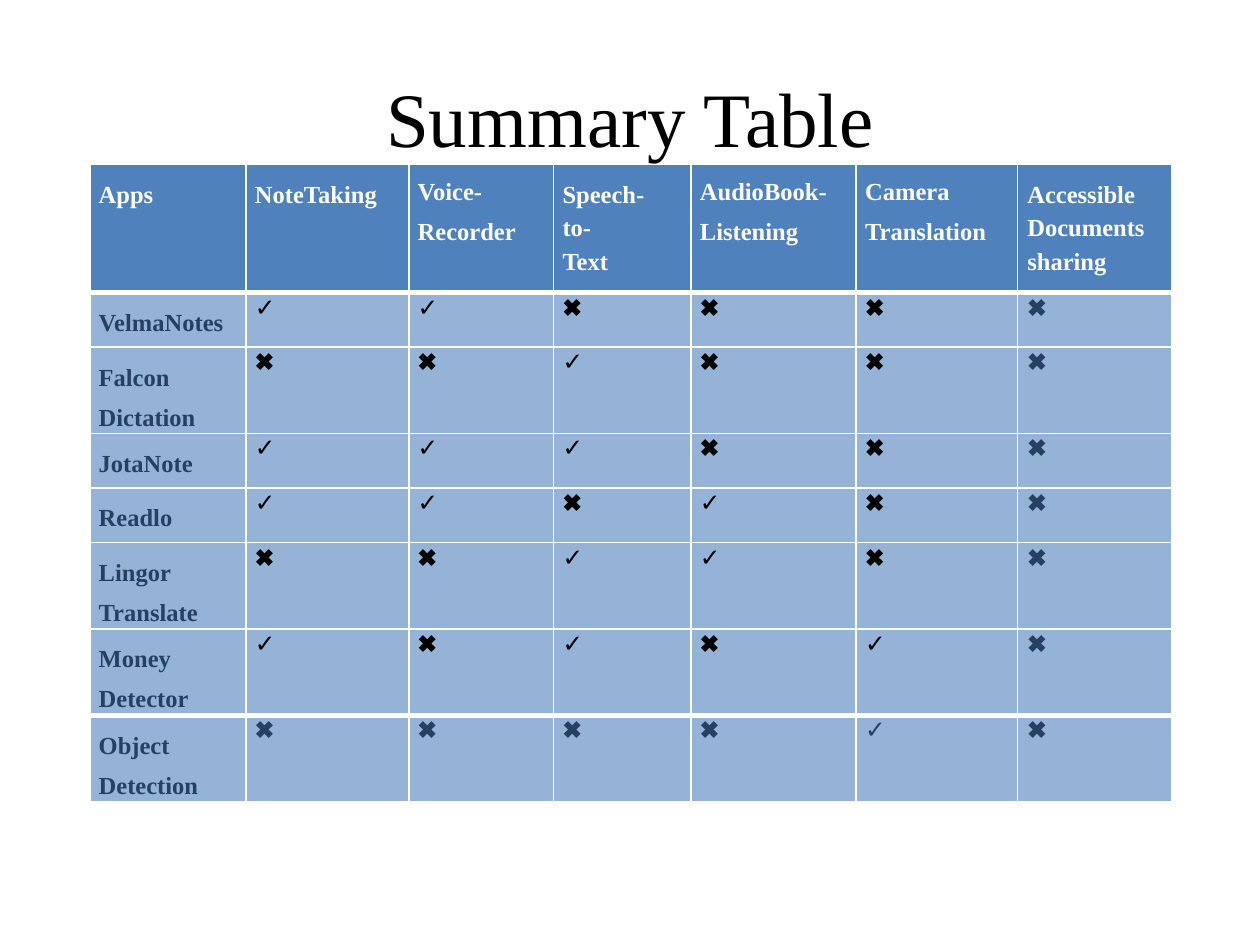
import pptx
import pptx.dml.color
import pptx.enum.text
import pptx.oxml.ns
import pptx.util
from lxml import etree
from pptx.util import Cm

WHITE = pptx.dml.color.RGBColor(0xFF, 0xFF, 0xFF)
BLACK = pptx.dml.color.RGBColor(0, 0, 0)
NAVY = pptx.dml.color.RGBColor(0x25, 0x40, 0x61)
HEADER_BLUE = pptx.dml.color.RGBColor(0x4F, 0x81, 0xBD)
BODY_BLUE = pptx.dml.color.RGBColor(0x95, 0xB3, 0xD7)
SERIF = "Times New Roman"
SANS = "Arial"
TIGHT = pptx.util.Pt(12.6)
MARK_LINE = pptx.util.Pt(16.4)


def write_text(frame, lines, size=14, font=SERIF, color=BLACK, bold=False,
               first_spacing=None, next_spacing=None, next_before=0, align=None):
    for index, line in enumerate(lines):
        para = frame.add_paragraph() if index else frame.paragraphs[0]
        para.alignment = align
        para.line_spacing = next_spacing if index else first_spacing
        para.space_before = pptx.util.Pt(next_before if index else 0)
        para.text = line
        for span in para.runs:
            span.font.name = font
            span.font.size = pptx.util.Pt(size)
            span.font.bold = bold
            span.font.color.rgb = color


def set_borders(cell, top, bottom):
    properties = cell._tc.get_or_add_tcPr()
    sides = (("lnL", 1), ("lnR", 1), ("lnT", top), ("lnB", bottom))
    for position, (side, width) in enumerate(sides):
        line = etree.Element(pptx.oxml.ns.qn("a:" + side), w=str(pptx.util.Pt(width)))
        fill = etree.SubElement(line, pptx.oxml.ns.qn("a:solidFill"))
        etree.SubElement(fill, pptx.oxml.ns.qn("a:srgbClr"), val=str(WHITE))
        properties.insert(position, line)


deck = pptx.Presentation()
deck.slide_width, deck.slide_height = Cm(25.4), Cm(19.05)
page = deck.slides.add_slide(deck.slide_layouts[5])

title = page.shapes.title
title.left, title.top, title.width, title.height = Cm(1.27), Cm(0.76), Cm(22.86), Cm(3.18)
title.text_frame.vertical_anchor = pptx.enum.text.MSO_ANCHOR.MIDDLE
write_text(title.text_frame, ["Summary Table"], size=44,
           align=pptx.enum.text.PP_ALIGN.CENTER)

headers = [
    ["Apps"], ["NoteTaking"], ["Voice- Recorder"], ["Speech-", "to-\vText"],
    ["AudioBook- Listening"], ["Camera Translation"],
    ["Accessible", "Documents sharing"],
]
apps = [
    (["VelmaNotes"], "✓✓✖✖✖✖"),
    (["Falcon", "Dictation"], "✖✖✓✖✖✖"),
    (["JotaNote"], "✓✓✓✖✖✖"),
    (["Readlo"], "✓✓✖✓✖✖"),
    (["Lingor", "Translate"], "✖✖✓✓✖✖"),
    (["Money", "Detector"], "✓✖✓✖✓✖"),
    (["Object", "Detection"], "✖✖✖✖✓✖"),
]
column_widths = [3.15, 3.28, 2.92, 2.77, 3.33, 3.25, 3.12]
row_heights = [2.58] + [1.1 if len(name) == 1 else 1.74 for name, marks in apps]
last_row, last_column = len(apps), len(headers) - 1

table = page.shapes.add_table(
    len(row_heights), len(column_widths), Cm(1.81), Cm(3.32),
    Cm(sum(column_widths)), Cm(sum(row_heights))).table
table.horz_banding = False
for column, width in zip(table.columns, column_widths):
    column.width = Cm(width)
for row, height in zip(table.rows, row_heights):
    row.height = Cm(height)

for row in range(last_row + 1):
    for column in range(last_column + 1):
        cell = table.cell(row, column)
        cell.margin_left = Cm(0.2 if column == last_column else 0.18)
        cell.margin_top = cell.margin_right = cell.margin_bottom = 0
        cell.fill.solid()
        cell.fill.fore_color.rgb = BODY_BLUE if row else HEADER_BLUE
        set_borders(cell, top=3 if row in (1, last_row) else 1,
                    bottom=3 if row in (0, last_row - 1) else 1)

        if row == 0:
            wrapped = column in (2, 4, 5)
            cell.margin_top = 0 if wrapped else TIGHT
            write_text(cell.text_frame, headers[column], color=WHITE, bold=True,
                       first_spacing=1.5 if wrapped else TIGHT,
                       next_spacing=pptx.util.Pt(19), next_before=0.1)
        elif column == 0:
            cell.margin_top = TIGHT
            write_text(cell.text_frame, apps[row - 1][0], color=NAVY, bold=True,
                       first_spacing=TIGHT, next_spacing=1.07, next_before=6.3)
        else:
            mark = apps[row - 1][1][column - 1]
            edge = row == last_row or column == last_column
            write_text(cell.text_frame, [mark], font=SANS, color=NAVY if edge else BLACK,
                       bold=edge or mark == "✓", first_spacing=MARK_LINE)

deck.save("out.pptx")
